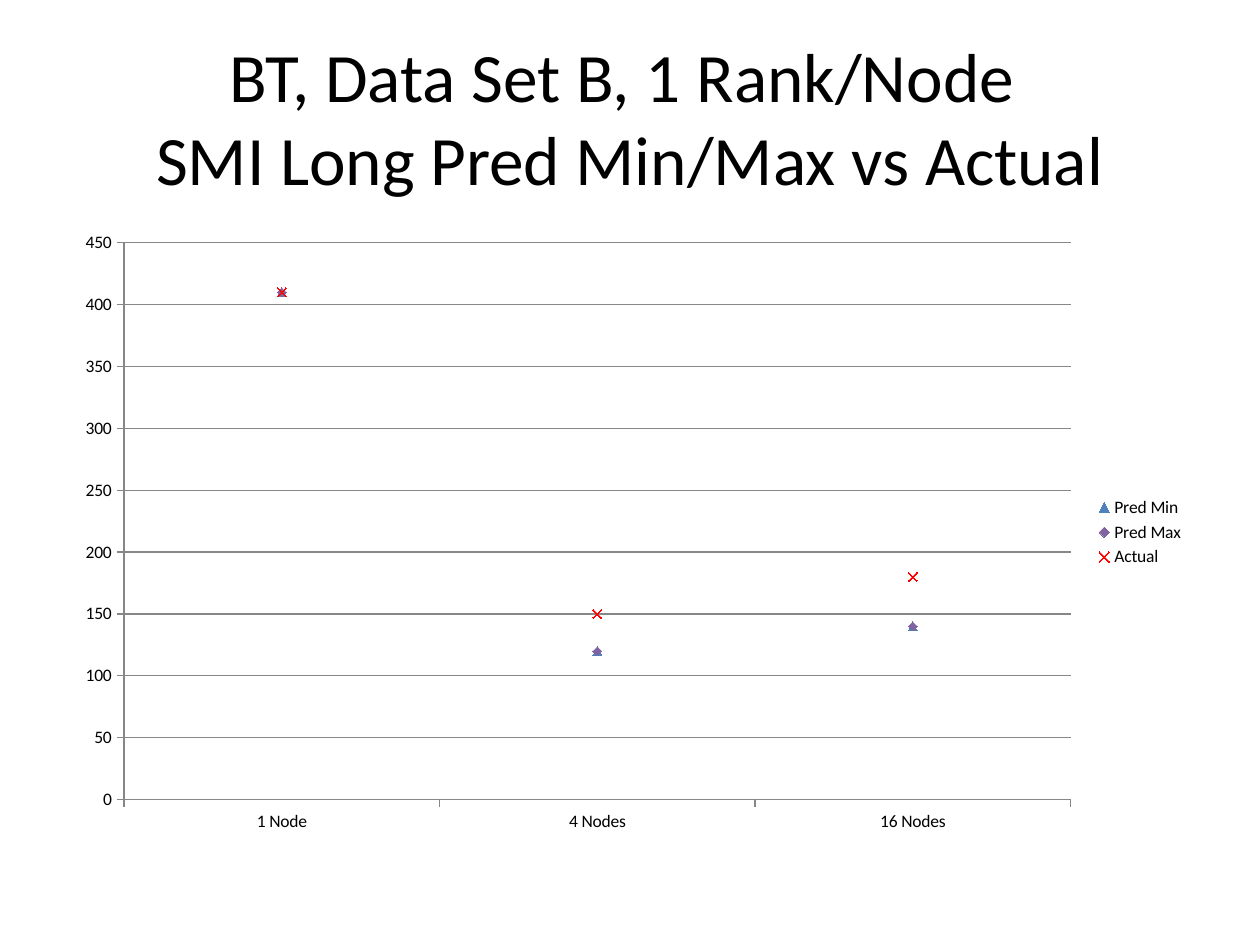
from pptx import Presentation
from pptx.chart.data import CategoryChartData
from pptx.dml.color import RGBColor
from pptx.enum.chart import (XL_CHART_TYPE, XL_LEGEND_POSITION,
                             XL_MARKER_STYLE, XL_TICK_MARK)
from pptx.enum.text import MSO_ANCHOR, PP_ALIGN
from pptx.util import Pt

FONT = "Calibri"
BLACK, GRAY = "000000", "878787"
TITLE = "BT, Data Set B, 1 Rank/Node \vSMI Long Pred Min/Max vs Actual"
TITLE_BOX = (36, 21.6, 648, 90)
CHART_BOX = (36, 126, 648, 356.4)
NODES = ["1 Node", "4 Nodes", "16 Nodes"]
# name, run times, marker style, colour
SERIES = [
    ("Pred Min", (410, 120, 140), XL_MARKER_STYLE.TRIANGLE, "4F81BD"),
    ("Pred Max", (410, 120, 140), XL_MARKER_STYLE.DIAMOND, "8064A2"),
    ("Actual", (410, 150, 180), XL_MARKER_STYLE.X, "FF0000"),
]


def rgb(value):
    """Return a colour from a hex string."""
    return RGBColor.from_string(value)


def style_font(font, size):
    """Set the slide's typeface and text colour at a size."""
    font.name, font.size, font.bold = FONT, Pt(size), False
    font.color.rgb = rgb(BLACK)


def style_line(line, color):
    """Give a line a thin solid stroke."""
    line.color.rgb = rgb(color)
    line.width = Pt(0.75)


def add_title(slide):
    """Place and format the title placeholder."""
    title = slide.shapes.title
    title.left, title.top, title.width, title.height = map(Pt, TITLE_BOX)
    frame = title.text_frame
    frame.text = TITLE
    frame.word_wrap = True
    frame.vertical_anchor = MSO_ANCHOR.MIDDLE
    paragraph = frame.paragraphs[0]
    paragraph.alignment = PP_ALIGN.CENTER
    for run in paragraph.runs:
        style_font(run.font, 39.6)


def add_run_time_chart(slide):
    """Add the chart of predicted and actual times, markers only."""
    data = CategoryChartData()
    data.categories = NODES
    for name, values, _, _ in SERIES:
        data.add_series(name, values)
    chart = slide.shapes.add_chart(
        XL_CHART_TYPE.LINE_MARKERS, *map(Pt, CHART_BOX), data).chart
    style_font(chart.font, 10)
    chart.has_title = False
    chart.has_legend = True
    chart.legend.position = XL_LEGEND_POSITION.RIGHT
    chart.legend.include_in_layout = False

    for axis in (chart.category_axis, chart.value_axis):
        axis.major_tick_mark = XL_TICK_MARK.OUTSIDE
        axis.minor_tick_mark = XL_TICK_MARK.NONE
        style_line(axis.format.line, GRAY)
    value_axis = chart.value_axis
    value_axis.minimum_scale, value_axis.maximum_scale = 0, 450
    value_axis.major_unit = 50
    value_axis.has_major_gridlines = True
    style_line(value_axis.major_gridlines.format.line, GRAY)

    plot = chart.plots[0]
    plot.vary_by_categories = False
    for series, (_, _, style, color) in zip(plot.series, SERIES):
        series.smooth = False
        series.format.line.fill.background()
        marker = series.marker
        marker.style, marker.size = style, 5
        marker.format.fill.solid()
        marker.format.fill.fore_color.rgb = rgb(color)
        style_line(marker.format.line, color)


prs = Presentation()
prs.slide_width, prs.slide_height = Pt(720), Pt(540)
slide = prs.slides.add_slide(prs.slide_layouts[5])
add_title(slide)
add_run_time_chart(slide)
prs.save("out.pptx")
